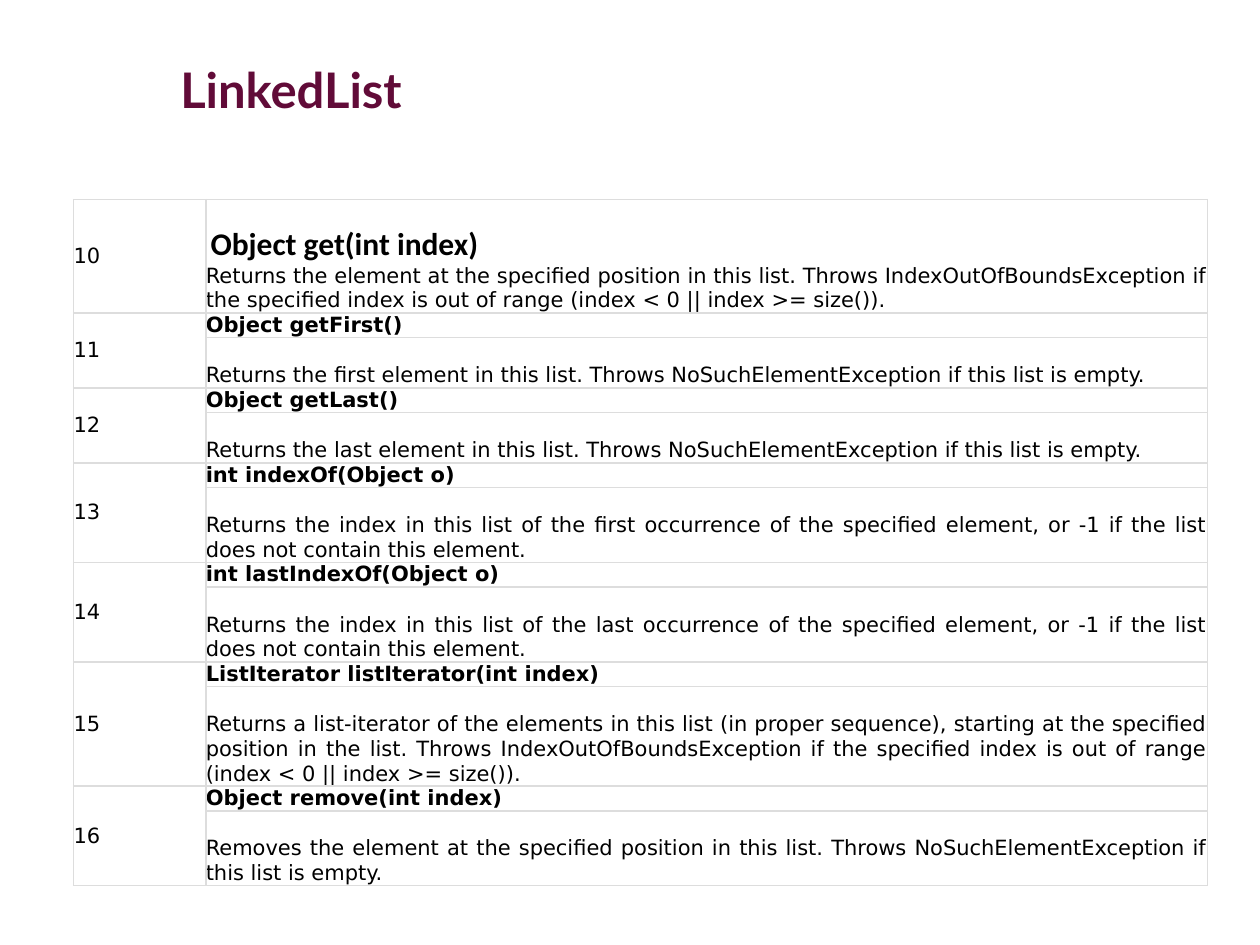
import pptx
import pptx.dml.color
import pptx.enum.text
import pptx.oxml
import pptx.oxml.ns
import pptx.util
from lxml import etree

Pt = pptx.util.Pt
RGB = pptx.dml.color.RGBColor
ALIGN = pptx.enum.text.PP_ALIGN
ANCHOR = pptx.enum.text.MSO_ANCHOR
qn = pptx.oxml.ns.qn

PLUM = RGB(0x61, 0x0B, 0x38)
BLACK = RGB(0, 0, 0)
BORDER = RGB(0xDD, 0xDD, 0xDD)
BODY_FONT = "DejaVu Sans"
NO_STYLE = "{2D5ABB26-0587-4C30-8999-92F81FD0307C}"

TITLE = "LinkedList"
# number, method, description, lines the description takes
METHODS = [
    ("10", "Object get(int index)",
     "Returns the element at the specified position in this list. Throws "
     "IndexOutOfBoundsException if the specified index is out of range "
     "(index < 0 || index >= size()).", 2),
    ("11", "Object getFirst()",
     "Returns the first element in this list. Throws "
     "NoSuchElementException if this list is empty.", 1),
    ("12", "Object getLast()",
     "Returns the last element in this list. Throws "
     "NoSuchElementException if this list is empty.", 1),
    ("13", "int indexOf(Object o)",
     "Returns the index in this list of the first occurrence of the "
     "specified element, or -1 if the list does not contain this element.", 2),
    ("14", "int lastIndexOf(Object o)",
     "Returns the index in this list of the last occurrence of the "
     "specified element, or -1 if the list does not contain this element.", 2),
    ("15", "ListIterator listIterator(int index)",
     "Returns a list-iterator of the elements in this list (in proper "
     "sequence), starting at the specified position in the list. Throws "
     "IndexOutOfBoundsException if the specified index is out of range "
     "(index < 0 || index >= size()).", 3),
    ("16", "Object remove(int index)",
     "Removes the element at the specified position in this list. Throws "
     "NoSuchElementException if this list is empty.", 2),
]
LEFT, TOP = 42, 114
COL_WIDTHS = (75.6, 572.4)
LINE, GAP, HEADING = 14, 14.6, 22
ROWS_PER_METHOD = 3


def add_text(tf, text, font=BODY_FONT, size=12, bold=False, color=BLACK,
             align=ALIGN.JUSTIFY):
    """Append a run to the first paragraph."""
    p = tf.paragraphs[0]
    p.alignment = align
    r = p.add_run()
    r.text = text
    r.font.name, r.font.size, r.font.bold = font, Pt(size), bold
    r.font.color.rgb = color


def format_cell(cell, sides):
    """Zero margins, no fill, and a thin line on each of the given sides."""
    cell.margin_left = cell.margin_right = 0
    cell.margin_top = cell.margin_bottom = 0
    tc_pr = cell._tc.get_or_add_tcPr()
    for side in sides:
        ln = etree.SubElement(tc_pr, qn(f"a:ln{side}"), w=str(Pt(1)))
        fill = etree.SubElement(ln, qn("a:solidFill"))
        etree.SubElement(fill, qn("a:srgbClr"), val=str(BORDER))
    cell.fill.background()
    # keeps rows without text at the body size
    end = etree.SubElement(cell.text_frame.paragraphs[0]._p,
                           qn("a:endParaRPr"), sz="1200")
    etree.SubElement(end, qn("a:latin"), typeface="Calibri")


prs = pptx.Presentation()
prs.slide_width, prs.slide_height = Pt(720), Pt(540)
s = prs.slides.add_slide(prs.slide_layouts[5])

title = s.shapes.title
title.left, title.top, title.width, title.height = (
    Pt(95.8), Pt(30.2), Pt(156.2), Pt(41))
tf = title.text_frame
tf.word_wrap = False
tf.vertical_anchor = ANCHOR.TOP
add_text(tf, TITLE, font="Lato", size=28, bold=True, color=PLUM,
         align=ALIGN.LEFT)

heights = []
for i, (number, method, description, lines) in enumerate(METHODS):
    heights += [GAP, HEADING] if i == 0 else [LINE, GAP]
    heights.append(lines * LINE)

frame = s.shapes.add_table(len(heights), 2, Pt(LEFT), Pt(TOP),
                           Pt(sum(COL_WIDTHS)), Pt(sum(heights)))
table = frame.table
table.first_row = table.horz_banding = False
table._tbl.tblPr.find(qn("a:tableStyleId")).text = NO_STYLE
for col, width in zip(table.columns, COL_WIDTHS):
    col.width = Pt(width)
for row, height in zip(table.rows, heights):
    row.height = Pt(height)

for i, (number, method, description, lines) in enumerate(METHODS):
    first = i * ROWS_PER_METHOD
    last = first + ROWS_PER_METHOD - 1
    for row, sides in zip(range(first, last + 1), ("LRT", "LR", "LRB")):
        format_cell(table.cell(row, 0), "LRTB" if row == first else sides)
        format_cell(table.cell(row, 1), sides)

    number_cell = table.cell(first, 0)
    number_cell.merge(table.cell(last, 0))
    number_cell.vertical_anchor = ANCHOR.MIDDLE
    add_text(number_cell.text_frame, number)

    if i == 0:
        tf = table.cell(first + 1, 1).text_frame
        add_text(tf, "\N{NO-BREAK SPACE}", font="Calibri", align=ALIGN.LEFT)
        add_text(tf, method, font="Calibri", size=18, bold=True,
                 align=ALIGN.LEFT)
    else:
        add_text(table.cell(first, 1).text_frame, method, bold=True)
    add_text(table.cell(last, 1).text_frame, description)

prs.save("out.pptx")
